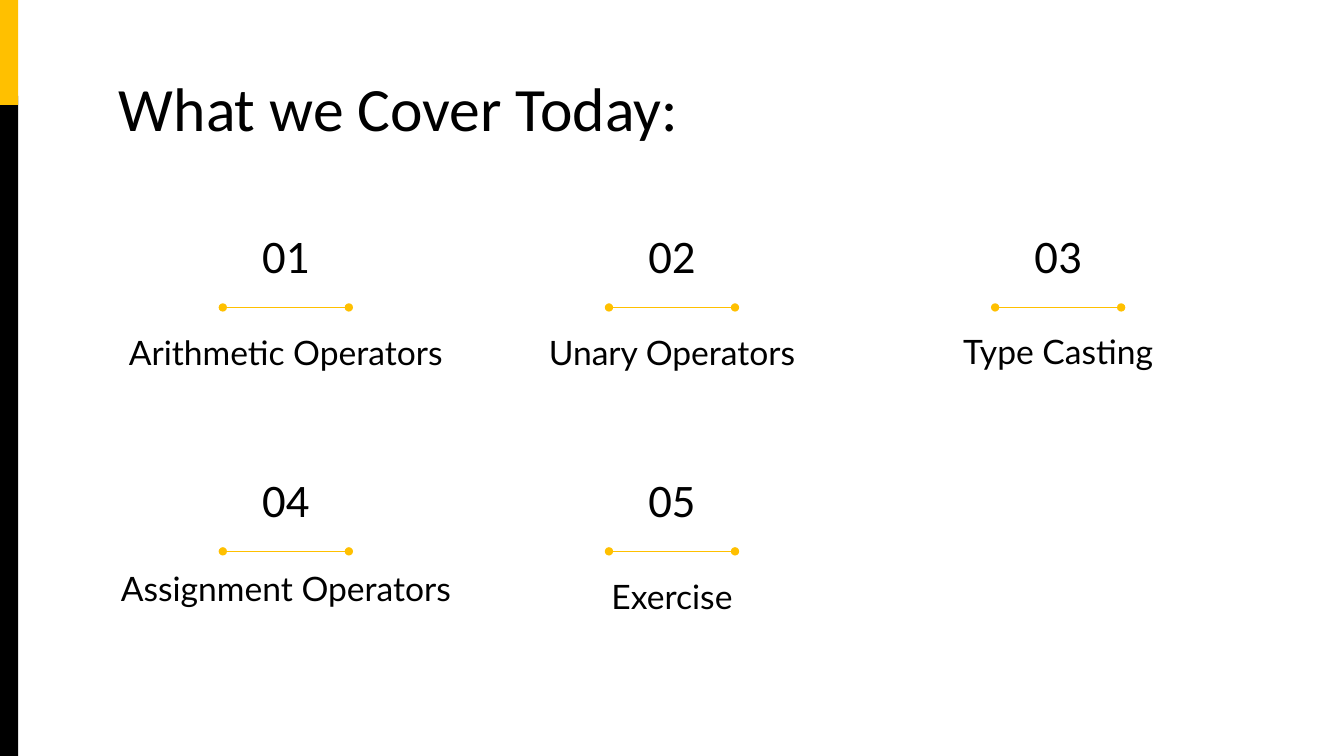
from dataclasses import dataclass

from lxml import etree
from pptx import Presentation
from pptx.dml.color import RGBColor
from pptx.enum.shapes import MSO_CONNECTOR, MSO_SHAPE
from pptx.enum.text import MSO_ANCHOR, PP_ALIGN
from pptx.oxml.ns import qn
from pptx.util import Inches, Pt

RECTANGLE = MSO_SHAPE.RECTANGLE
STRAIGHT = MSO_CONNECTOR.STRAIGHT
TOP, BOTTOM = MSO_ANCHOR.TOP, MSO_ANCHOR.BOTTOM
LEFT, CENTER = PP_ALIGN.LEFT, PP_ALIGN.CENTER


@dataclass(frozen=True)
class Theme:
    ink: RGBColor = RGBColor(0x00, 0x00, 0x00)
    accent: RGBColor = RGBColor(0xFF, 0xC0, 0x00)
    heading_font: str = "Calibri"
    label_font: str = "Lato"
    title_size: float = 44
    number_size: float = 33.3
    label_size: float = 24
    rule_width: float = 0.75


THEME = Theme()
COLUMNS = 3
FIRST_LEFT, FIRST_TOP = 1.05, 2.03
COLUMN_STEP, ROW_STEP = 3.83, 2.42
LABEL_WIDTH, NUMBER_WIDTH, RULE_LENGTH = 3.57, 1.14, 1.25

# Each topic with the distance its label is raised from the row's usual place.
TOPICS = [
    ("Arithmetic Operators", 0),
    ("Unary Operators", 0),
    ("Type Casting", 0.01),
    ("Assignment Operators", 0.08),
    ("Exercise", 0),
]


def add_bar(page, top, height, color):
    bar = page.shapes.add_shape(
        RECTANGLE, Inches(0), Inches(top), Inches(0.18), Inches(height)
    )
    bar.shadow.inherit = False
    bar.fill.solid()
    bar.fill.fore_color.rgb = color
    bar.line.fill.background()


def add_text(page, text, left, top, width, height, font, size,
             align=CENTER, anchor=TOP, spacing=1.0):
    box = page.shapes.add_textbox(
        Inches(left), Inches(top), Inches(width), Inches(height)
    )
    frame = box.text_frame
    frame.word_wrap = True
    frame.vertical_anchor = anchor
    frame.margin_left = frame.margin_right = Inches(0.13)
    frame.margin_top = frame.margin_bottom = Inches(0.13)
    para = frame.paragraphs[0]
    para.text = text
    para.alignment = align
    para.line_spacing = spacing
    para.font.name = font
    para.font.size = Pt(size)
    para.font.color.rgb = THEME.ink


def add_dotted_end_rule(page, left, top):
    """Draw a horizontal rule with a round dot at each end."""
    rule = page.shapes.add_connector(
        STRAIGHT, Inches(left), Inches(top),
        Inches(left + RULE_LENGTH), Inches(top)
    )
    rule.line.color.rgb = THEME.accent
    rule.line.width = Pt(THEME.rule_width)
    outline = rule.line._get_or_add_ln()
    for end in ("a:headEnd", "a:tailEnd"):
        etree.SubElement(outline, qn(end), type="oval")
    etree.SubElement(rule._element.spPr, qn("a:effectLst"))


def add_topic(page, index, label, lift):
    row, column = divmod(index, COLUMNS)
    left = FIRST_LEFT + column * COLUMN_STEP
    top = FIRST_TOP + row * ROW_STEP
    center = left + LABEL_WIDTH / 2
    add_text(page, f"{index + 1:02}", center - NUMBER_WIDTH / 2, top,
             NUMBER_WIDTH, 0.91, THEME.heading_font, THEME.number_size,
             anchor=BOTTOM, spacing=0.9)
    add_dotted_end_rule(page, center - RULE_LENGTH / 2, top + 1.02)
    add_text(page, label, left, top + 1.13 - lift, LABEL_WIDTH, 0.65,
             THEME.label_font, THEME.label_size)


def main():
    deck = Presentation()
    deck.slide_width, deck.slide_height = Inches(13.33), Inches(7.5)
    page = deck.slides.add_slide(deck.slide_layouts[6])
    add_bar(page, 0.95, 6.55, THEME.ink)
    add_bar(page, 0, 1.04, THEME.accent)
    add_text(page, "What we Cover Today:", FIRST_LEFT, 0.65, 11.23, 0.84,
             THEME.heading_font, THEME.title_size, align=LEFT, spacing=0.9)
    for index, (label, lift) in enumerate(TOPICS):
        add_topic(page, index, label, lift)
    deck.save("out.pptx")


if __name__ == "__main__":
    main()
